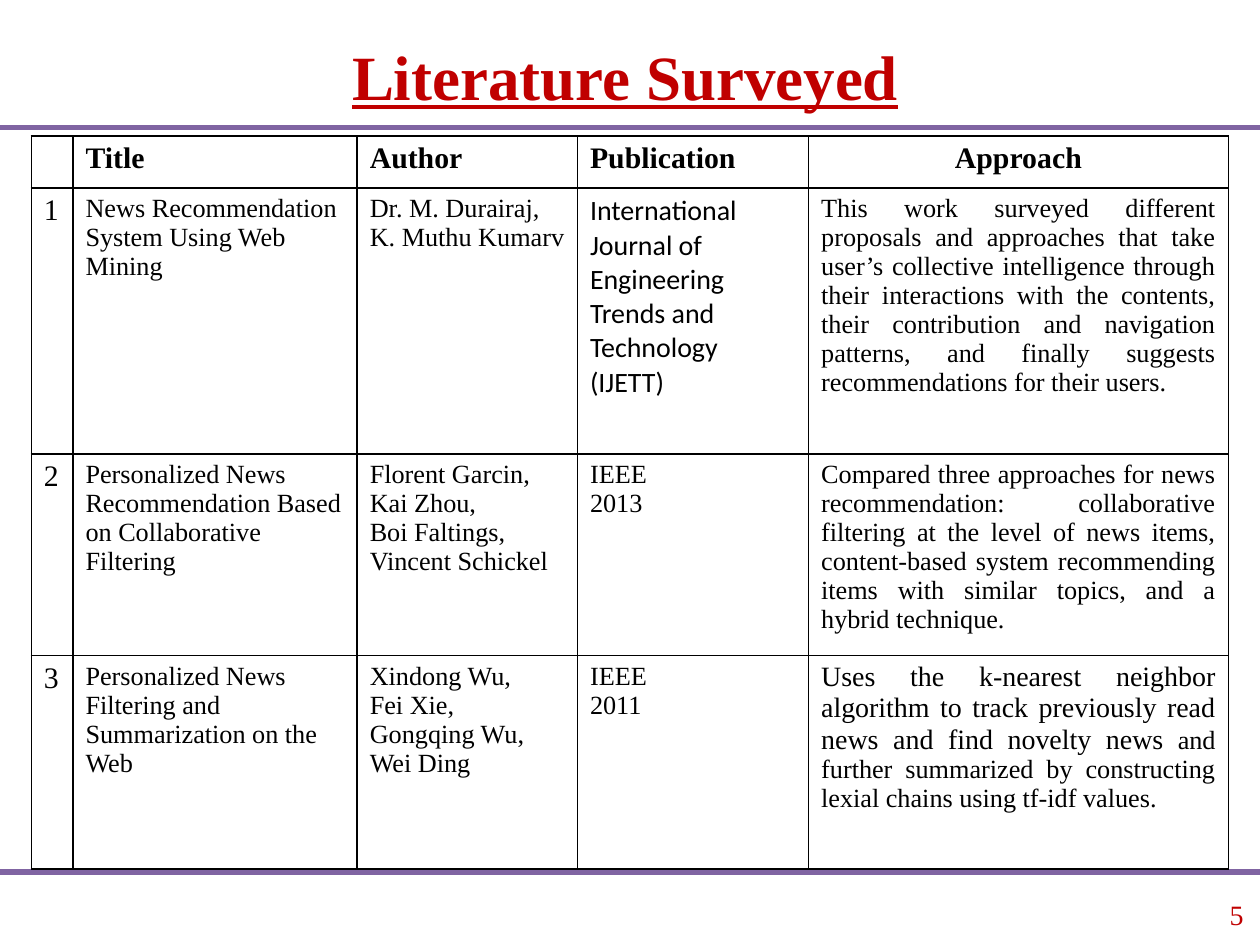
from pptx import Presentation
from pptx.dml.color import RGBColor
from pptx.enum.shapes import MSO_CONNECTOR
from pptx.enum.text import MSO_ANCHOR, PP_ALIGN
from pptx.oxml.ns import qn
from pptx.util import Cm, Pt
from lxml import etree

LEFT, CENTER = PP_ALIGN.LEFT, PP_ALIGN.CENTER
RIGHT, JUSTIFY = PP_ALIGN.RIGHT, PP_ALIGN.JUSTIFY
MIDDLE = MSO_ANCHOR.MIDDLE
STRAIGHT = MSO_CONNECTOR.STRAIGHT

COLORS = {"accent": "C00000", "rule": "8064A2", "text": "000000"}
SERIF, SANS = "Times New Roman", "Calibri"
SLIDE_WIDTH, SLIDE_HEIGHT = 25.4, 19.05
BODY_SIZE, HEAD_SIZE = 15, 17

COLUMN_WIDTHS = [0.84, 5.73, 4.44, 4.66, 8.46]
ROW_HEIGHTS = [1.05, 5.36, 4.06, 4.3]
HEADINGS = ["", "Title", "Author", "Publication", "Approach"]

# Each cell is a list of paragraphs; a paragraph is a list of (text, style) runs
# or a plain string in the body style.
PAPERS = [
    [
        ["News Recommendation", "System Using Web Mining"],
        ["Dr. M. Durairaj,", "K. Muthu Kumarv"],
        [[("International Journal of Engineering Trends and Technology (IJETT)",
           {"size": 16, "font": SANS})]],
        ["This work surveyed different proposals and approaches that take "
         "user’s collective intelligence through their interactions with the "
         "contents, their contribution and navigation patterns, and finally "
         "suggests recommendations for their users."],
    ],
    [
        ["Personalized News Recommendation Based on Collaborative Filtering"],
        ["Florent Garcin, Kai Zhou,", "Boi Faltings, Vincent Schickel"],
        ["IEEE", "2013"],
        ["Compared three approaches for news recommendation: collaborative "
         "filtering at the level of news items, content-based system "
         "recommending items with similar topics, and a hybrid technique."],
    ],
    [
        ["Personalized News Filtering and Summarization on the Web"],
        ["Xindong Wu,", "Fei Xie, Gongqing Wu, Wei Ding"],
        ["IEEE", "2011"],
        [[("Uses the k-nearest neighbor algorithm to track previously read "
           "news and find novelty news", {"size": 16}),
          (" and further summarized by constructing lexial chains using "
           "tf-idf values.", {})]],
    ],
]


class SlideBuilder:
    def __init__(self, slide):
        self.slide = slide

    def fill_text(self, frame, paragraphs, align=LEFT, **style):
        """Fill a text frame; style applies to all runs unless a run overrides it."""
        for index, content in enumerate(paragraphs):
            paragraph = frame.paragraphs[0] if index == 0 else frame.add_paragraph()
            paragraph.alignment = align
            runs = [(content, {})] if isinstance(content, str) else content
            for text, override in runs:
                self.add_run(paragraph, text, **{**style, **override})

    def add_run(self, paragraph, text, size=BODY_SIZE, font=SERIF, color="text",
                bold=False, underline=False):
        run = paragraph.add_run()
        run.text = text
        run.font.size = Pt(size)
        run.font.name = font
        run.font.bold = bold
        run.font.underline = underline
        run.font.color.rgb = RGBColor.from_string(COLORS[color])

    def text_box(self, left, top, width, height, text, align, **style):
        box = self.slide.shapes.add_textbox(Cm(left), Cm(top), Cm(width), Cm(height))
        box.text_frame.word_wrap = True
        box.text_frame.vertical_anchor = MIDDLE
        self.fill_text(box.text_frame, [text], align, **style)

    def horizontal_rule(self, y):
        rule = self.slide.shapes.add_connector(
            STRAIGHT, 0, Cm(y), Cm(SLIDE_WIDTH), Cm(y))
        rule.line.color.rgb = RGBColor.from_string(COLORS["rule"])
        rule.line.width = Pt(3)
        etree.SubElement(rule._element.spPr, qn("a:effectLst"))

    def border_cell(self, cell):
        properties = cell._tc.get_or_add_tcPr()
        for position, side in enumerate(("lnL", "lnR", "lnT", "lnB")):
            line = etree.Element(qn(f"a:{side}"), w=str(Pt(1)))
            fill = etree.SubElement(line, qn("a:solidFill"))
            etree.SubElement(fill, qn("a:srgbClr"), val=COLORS["text"])
            properties.insert(position, line)

    def survey_table(self, left, top):
        table = self.slide.shapes.add_table(
            len(ROW_HEIGHTS), len(COLUMN_WIDTHS), Cm(left), Cm(top),
            Cm(sum(COLUMN_WIDTHS)), Cm(sum(ROW_HEIGHTS))).table
        table.first_row = table.horz_banding = False
        for column, width in zip(table.columns, COLUMN_WIDTHS):
            column.width = Cm(width)
        for row, height in zip(table.rows, ROW_HEIGHTS):
            row.height = Cm(height)
        for cell in table.iter_cells():
            cell.fill.background()
            self.border_cell(cell)

        for column, heading in enumerate(HEADINGS):
            if heading:
                align = CENTER if heading == "Approach" else LEFT
                self.fill_text(table.cell(0, column).text_frame, [heading], align,
                               size=HEAD_SIZE, bold=True)
        for number, paper in enumerate(PAPERS, start=1):
            self.fill_text(table.cell(number, 0).text_frame, [str(number)],
                           size=HEAD_SIZE)
            for column, paragraphs in enumerate(paper, start=1):
                align = JUSTIFY if HEADINGS[column] == "Approach" else LEFT
                self.fill_text(table.cell(number, column).text_frame, paragraphs, align)


def main():
    presentation = Presentation()
    presentation.slide_width = Cm(SLIDE_WIDTH)
    presentation.slide_height = Cm(SLIDE_HEIGHT)
    builder = SlideBuilder(presentation.slides.add_slide(presentation.slide_layouts[6]))

    builder.text_box(19.4, 17.93, 5.92, 1.02, "5", RIGHT, size=16, color="accent")
    for y in (2.57, 17.58):
        builder.horizontal_rule(y)
    builder.text_box(0.64, 0.76, 23.93, 1.5, "Literature Surveyed", CENTER,
                     size=36, color="accent", bold=True, underline=True)
    builder.survey_table(0.63, 2.74)
    presentation.save("out.pptx")


if __name__ == "__main__":
    main()
